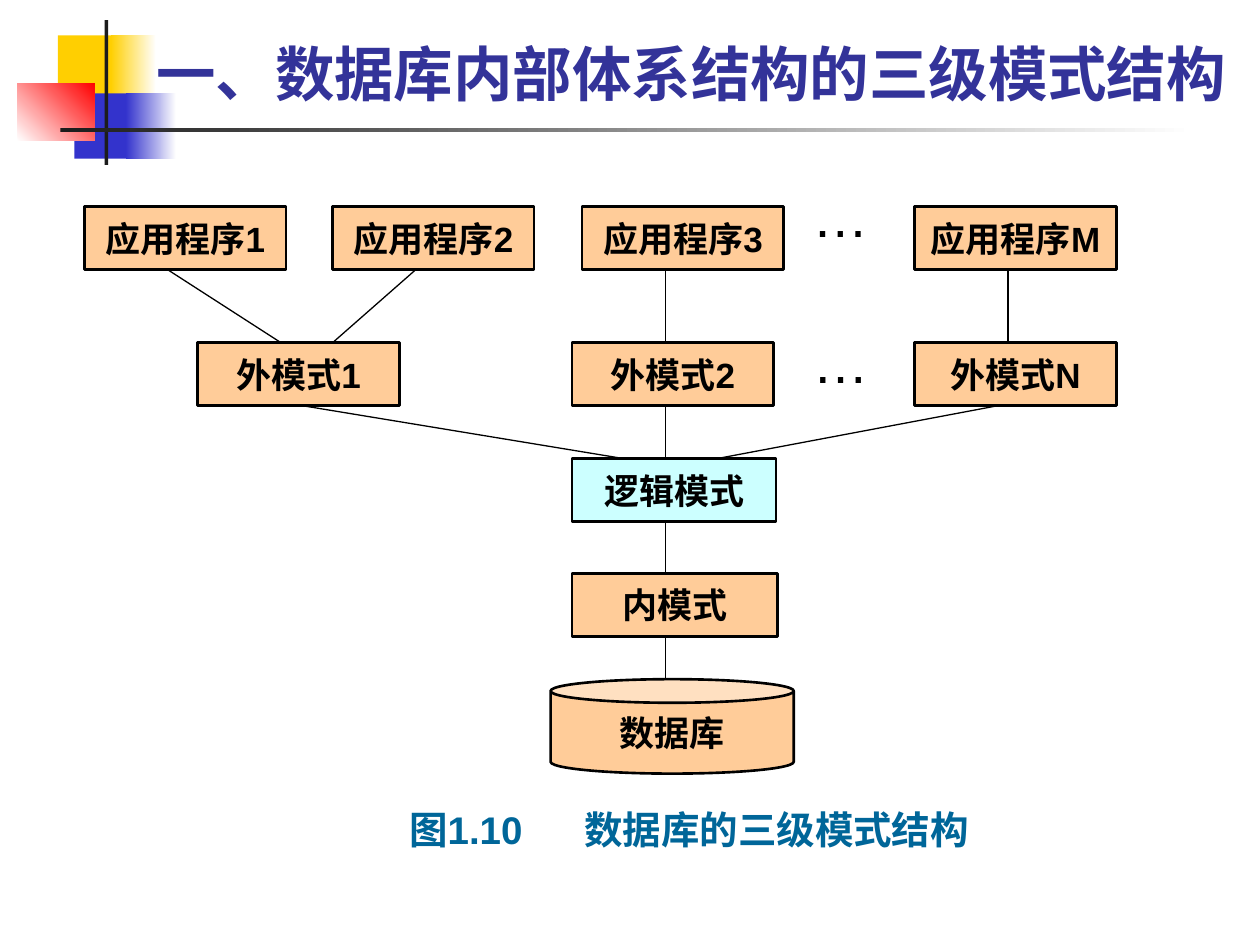
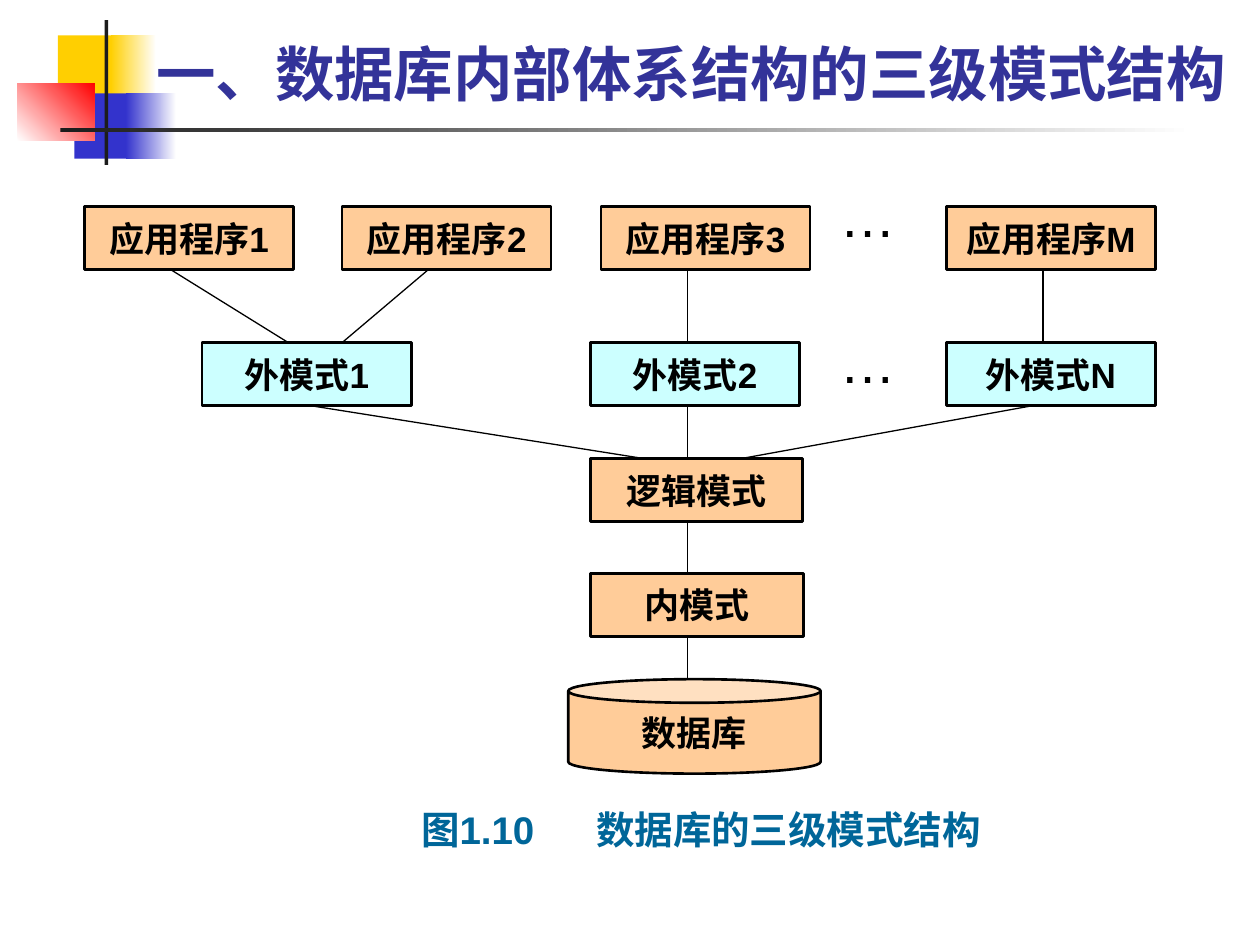
import dataclasses
import typing

import pptx
import pptx.dml.color
import pptx.enum.shapes
import pptx.enum.text
import pptx.util
from lxml import etree
from pptx.oxml.ns import qn

Inches = pptx.util.Inches
Pt = pptx.util.Pt
SHAPE = pptx.enum.shapes.MSO_SHAPE
ANCHOR = pptx.enum.text.MSO_ANCHOR
ALIGN = pptx.enum.text.PP_ALIGN
AUTO_SIZE = pptx.enum.text.MSO_AUTO_SIZE

WHITE, BLACK, CHARCOAL = "FFFFFF", "000000", "1C1C1C"
YELLOW, BLUE, RED = "FFCF01", "3333CC", "FF0000"
TITLE_COLOR, CAPTION_COLOR = "333399", "006699"
PEACH, HIGHLIGHT = "FFCC99", "CCFFFF"

TITLE = "一、数据库内部体系结构的三级模式结构"
CAPTION = "图1.10\t数据库的三级模式结构"
CAPTION_TAB = Inches(1.39)

TITLE_FONT = {"name": "Roboto", "size": Pt(34), "bold": True}
NODE_FONT = {"name": "Arial", "size": Pt(20), "bold": True}
ELLIPSIS_FONT = {"name": "Arial", "size": Pt(32), "bold": False}
CAPTION_FONT = {"name": "Arial", "size": Pt(22), "bold": True}

TITLE_FRAME = {"auto_size": AUTO_SIZE.NONE, "word_wrap": True, "vertical_anchor": ANCHOR.BOTTOM}
NODE_FRAME = {"word_wrap": False, "vertical_anchor": ANCHOR.MIDDLE}
NOTE_FRAME = {"word_wrap": True, "auto_size": AUTO_SIZE.SHAPE_TO_FIT_TEXT}

DIAGRAM_LEFT = 0.67


@dataclasses.dataclass(frozen=True)
class Band:
    left: float
    top: float
    width: float
    height: float
    colors: tuple[str, ...]
    angle: float = 0


@dataclasses.dataclass(frozen=True)
class Node:
    label: str
    level: str
    left: float
    top: float
    width: float = 1.6
    height: float = 0.5
    outline: typing.Any = SHAPE.RECTANGLE


@dataclasses.dataclass(frozen=True)
class Link:
    start_x: float
    start_y: float
    end_x: float
    end_y: float


@dataclasses.dataclass(frozen=True)
class Note:
    text: str
    left: float
    top: float
    width: float
    height: float
    font: dict[str, typing.Any]
    color: str


@dataclasses.dataclass(frozen=True)
class Stage:
    highlighted_level: str
    stretch: float

    def x(self, position: float) -> int:
        return Inches(DIAGRAM_LEFT + (position - DIAGRAM_LEFT) * self.stretch)

    def width(self, length: float) -> int:
        return Inches(length * self.stretch)


BANDS = (
    Band(0.46, 0.28, 0.48, 0.52, (YELLOW,)),
    Band(0.88, 0.28, 0.36, 0.52, (YELLOW, WHITE)),
    Band(0.59, 0.74, 0.46, 0.52, (BLUE,)),
    Band(1, 0.74, 0.4, 0.52, (BLUE, WHITE)),
    Band(0.14, 0.66, 0.61, 0.46, (WHITE, RED), 45),
    Band(0.83, 0.16, 0.03, 1.15, (CHARCOAL,)),
    Band(0.48, 1.02, 9, 0.03, (CHARCOAL, WHITE)),
)

PROGRAM_TOP, EXTERNAL_TOP, LOGICAL_TOP, INTERNAL_TOP, DATABASE_TOP = 1.64, 2.72, 3.64, 4.55, 5.39
PROGRAM_BOTTOM, EXTERNAL_BOTTOM, LOGICAL_BOTTOM, INTERNAL_BOTTOM = 2.14, 3.22, 4.14, 5.05
TRUNK_X = 5.28

NODES = (
    Node("数据库", "database", 4.37, DATABASE_TOP, 1.93, 0.75, SHAPE.CAN),
    *(Node(f"应用程序{mark}", "program", left, PROGRAM_TOP)
      for mark, left in zip("123M", (DIAGRAM_LEFT, 2.64, 4.62, 7.26))),
    *(Node(f"外模式{mark}", "external", left, EXTERNAL_TOP)
      for mark, left in zip("12N", (1.57, 4.54, 7.26))),
    Node("逻辑模式", "logical", 4.54, LOGICAL_TOP, 1.62),
    Node("内模式", "internal", 4.54, INTERNAL_TOP, 1.63),
)

LINKS = (
    *(Link(start, PROGRAM_BOTTOM, end, EXTERNAL_TOP)
      for start, end in ((1.33, 2.23), (3.3, 2.64), (8, 8), (TRUNK_X, TRUNK_X))),
    *(Link(start, EXTERNAL_BOTTOM, end, LOGICAL_TOP)
      for start, end in ((2.4, 4.95), (TRUNK_X, TRUNK_X), (7.92, 5.69))),
    Link(TRUNK_X, LOGICAL_BOTTOM, TRUNK_X, INTERNAL_TOP),
    Link(TRUNK_X, INTERNAL_BOTTOM, TRUNK_X, DATABASE_TOP),
)

NOTES = (
    Note("…", 6.35, 1.39, 0.66, 0.63, ELLIPSIS_FONT, BLACK),
    Note("…", 6.35, 2.55, 0.82, 0.63, ELLIPSIS_FONT, BLACK),
    Note(CAPTION, 3.15, 6.35, 5.52, 0.47, CAPTION_FONT, CAPTION_COLOR),
)

STAGES = (Stage("logical", 1), Stage("external", 6.84 / 6.59))


def rgb(color: str) -> pptx.dml.color.RGBColor:
    return pptx.dml.color.RGBColor.from_string(color)


def apply_format(target: typing.Any, values: dict[str, typing.Any]) -> None:
    for attribute, value in values.items():
        setattr(target, attribute, value)


def write_text(frame: typing.Any, text: str, frame_format: dict[str, typing.Any],
               font_format: dict[str, typing.Any], color: str, alignment: typing.Any) -> None:
    apply_format(frame, frame_format)
    paragraph = frame.paragraphs[0]
    paragraph.alignment = alignment
    if "\t" in text:
        tabs = etree.SubElement(paragraph._p.get_or_add_pPr(), qn("a:tabLst"))
        etree.SubElement(tabs, qn("a:tab"), pos=str(CAPTION_TAB), algn="l")
    run = paragraph.add_run()
    run.text = text
    apply_format(run.font, font_format)
    run.font.color.rgb = rgb(color)


def draw_band(shapes: typing.Any, band: Band) -> None:
    stripe = shapes.add_shape(SHAPE.RECTANGLE, Inches(band.left), Inches(band.top),
                              Inches(band.width), Inches(band.height))
    stripe.shadow.inherit = False
    stripe.line.fill.background()
    if len(band.colors) == 1:
        stripe.fill.solid()
        stripe.fill.fore_color.rgb = rgb(band.colors[0])
        return
    stripe.fill.gradient()
    stripe.fill.gradient_angle = band.angle
    for stop, color in zip(stripe.fill.gradient_stops, band.colors):
        stop.color.rgb = rgb(color)


def draw_title(slide: typing.Any) -> None:
    title = slide.shapes.title
    apply_format(title, {"left": Inches(1.14), "top": Inches(0.23),
                         "width": Inches(8.8), "height": Inches(0.68)})
    write_text(title.text_frame, TITLE, TITLE_FRAME, TITLE_FONT, TITLE_COLOR, ALIGN.LEFT)


def draw_node(shapes: typing.Any, node: Node, stage: Stage) -> None:
    box = shapes.add_shape(node.outline, stage.x(node.left), Inches(node.top),
                           stage.width(node.width), Inches(node.height))
    box.shadow.inherit = False
    box.fill.solid()
    box.fill.fore_color.rgb = rgb(HIGHLIGHT if node.level == stage.highlighted_level else PEACH)
    box.line.color.rgb = rgb(BLACK)
    box.line.width = Pt(1.5)
    write_text(box.text_frame, node.label, NODE_FRAME, NODE_FONT, BLACK, ALIGN.CENTER)


def draw_link(shapes: typing.Any, link: Link, stage: Stage) -> None:
    connector = shapes.add_connector(
        pptx.enum.shapes.MSO_CONNECTOR.STRAIGHT,
        stage.x(link.start_x), Inches(link.start_y), stage.x(link.end_x), Inches(link.end_y))
    connector.line.color.rgb = rgb(BLACK)
    connector.line.width = Pt(0.75)
    etree.SubElement(connector._element.spPr, qn("a:effectLst"))


def draw_note(shapes: typing.Any, note: Note, stage: Stage) -> None:
    box = shapes.add_textbox(stage.x(note.left), Inches(note.top),
                             stage.width(note.width), Inches(note.height))
    write_text(box.text_frame, note.text, NOTE_FRAME, note.font, note.color, ALIGN.LEFT)


def build_slide(presentation: typing.Any, stage: Stage) -> None:
    slide = presentation.slides.add_slide(presentation.slide_layouts[5])
    for band in BANDS:
        draw_band(slide.shapes, band)
    draw_title(slide)
    diagram = slide.shapes.add_group_shape().shapes
    for node in NODES:
        draw_node(diagram, node, stage)
    for link in LINKS:
        draw_link(diagram, link, stage)
    for note in NOTES:
        draw_note(diagram, note, stage)


def main() -> None:
    presentation = pptx.Presentation()
    presentation.slide_width = Inches(10)
    presentation.slide_height = Inches(7.5)
    for stage in STAGES:
        build_slide(presentation, stage)
    presentation.save("out.pptx")


if __name__ == "__main__":
    main()
